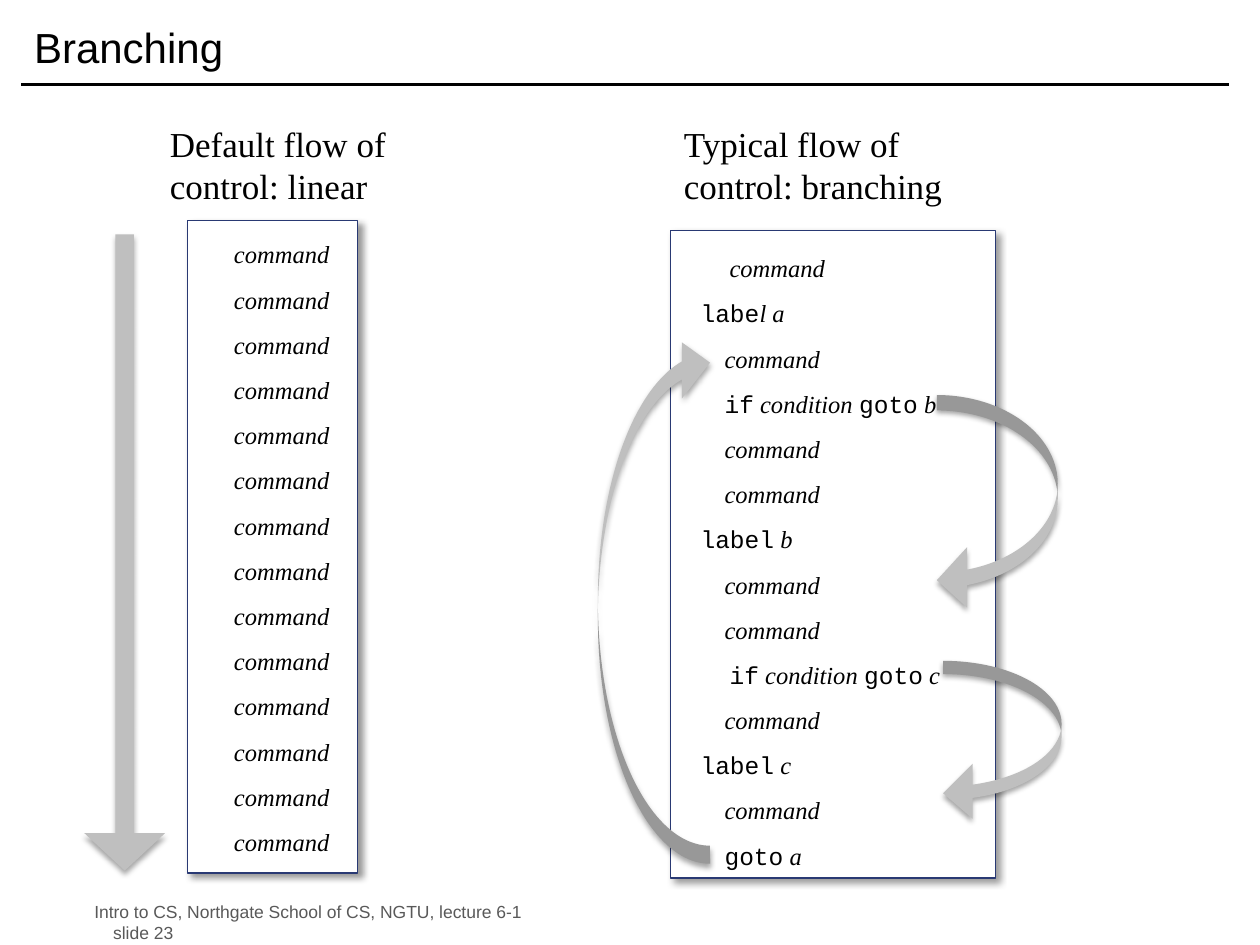
from lxml import etree
from pptx import Presentation
from pptx.dml.color import RGBColor
from pptx.enum.shapes import MSO_CONNECTOR, MSO_SHAPE
from pptx.enum.text import MSO_ANCHOR, PP_ALIGN
from pptx.oxml.ns import qn
from pptx.util import Inches, Pt

RECTANGLE = MSO_SHAPE.RECTANGLE
DOWN_ARROW = MSO_SHAPE.DOWN_ARROW
CURVED_ARROW = MSO_SHAPE.CURVED_DOWN_ARROW
STRAIGHT = MSO_CONNECTOR.STRAIGHT
MIDDLE, TOP = MSO_ANCHOR.MIDDLE, MSO_ANCHOR.TOP
LEFT, CENTER = PP_ALIGN.LEFT, PP_ALIGN.CENTER

SANS, SERIF, MONO = "Arial", "Times New Roman", "Courier New"
BLACK, GREY, WHITE, NAVY, SILVER = "000000", "595959", "FFFFFF", "293973", "BFBFBF"

COMMAND = [("command", SERIF)]


def branch_line(target):
    return [("if", MONO), (" condition ", SERIF), ("goto", MONO), (f" {target}", SERIF)]


def keyword_line(keyword, rest):
    return [(keyword, MONO), (rest, SERIF)]


LINEAR_LINES = [(0, COMMAND)] * 14
BRANCHING_LINES = [
    (0.23, COMMAND),
    (0, keyword_line("labe", "l a")),
    (0.19, COMMAND),
    (0.19, branch_line("b")),
    (0.19, COMMAND),
    (0.19, COMMAND),
    (0, keyword_line("label", " b")),
    (0.19, COMMAND),
    (0.19, COMMAND),
    (0.23, branch_line("c")),
    (0.19, COMMAND),
    (0, keyword_line("label", " c")),
    (0.19, COMMAND),
    (0.19, keyword_line("goto", " a")),
]


def color(value):
    return RGBColor.from_string(value)


def inches(box):
    return [Inches(length) for length in box]


def style(span, font, size, hex_color=BLACK, italic=False):
    span.font.name = font
    span.font.size = Pt(size)
    span.font.color.rgb = color(hex_color)
    span.font.italic = italic


def set_indent(para, left, first=0):
    properties = para._p.get_or_add_pPr()
    properties.set("marL", str(Inches(left)))
    properties.set("indent", str(Inches(first)))


def add_shadow(shape, blur, distance, angle, opacity):
    shape.shadow.inherit = False
    effects = shape._element.spPr.find(qn("a:effectLst"))
    shadow = etree.SubElement(
        effects, qn("a:outerShdw"), blurRad=str(Pt(blur)), dist=str(Pt(distance)),
        dir=str(angle * 60000), algn="tl", rotWithShape="0")
    tint = etree.SubElement(shadow, qn("a:srgbClr"), val=BLACK)
    etree.SubElement(tint, qn("a:alpha"), val=str(opacity * 1000))


def add_title(page, box, text):
    title = page.shapes.title
    title.left, title.top, title.width, title.height = inches(box)
    frame = title.text_frame
    frame.text = text
    frame.vertical_anchor = MIDDLE
    para = frame.paragraphs[0]
    para.alignment = LEFT
    style(para.runs[0], SANS, 24)


def add_rule(page, left, right, top):
    rule = page.shapes.add_connector(STRAIGHT, *inches((left, top, right, top)))
    rule.line.color.rgb = color(BLACK)
    rule.line.width = Pt(2)
    etree.SubElement(rule._element.spPr, qn("a:effectLst"))


def add_footer(page, box, text):
    frame = page.shapes.add_textbox(*inches(box)).text_frame
    frame.word_wrap = True
    frame.vertical_anchor = MIDDLE
    para = frame.paragraphs[0]
    para.text = text
    set_indent(para, 0.15, -0.15)
    for span in para.runs:
        style(span, SANS, 10, GREY)


def add_heading(shapes, box, text):
    frame = shapes.add_textbox(*inches(box)).text_frame
    frame.word_wrap = True
    frame.text = text
    style(frame.paragraphs[0].runs[0], SERIF, 20)


def add_listing(shapes, box, lines, alignment, top_inset):
    panel = shapes.add_shape(RECTANGLE, *inches(box))
    panel.fill.solid()
    panel.fill.fore_color.rgb = color(WHITE)
    panel.line.color.rgb = color(NAVY)
    panel.line.width = Pt(0.75)
    add_shadow(panel, 4, 3, 45, 40)
    frame = panel.text_frame
    frame.word_wrap = True
    frame.vertical_anchor = TOP
    frame.margin_left, frame.margin_right = Inches(0.24), Inches(0.1)
    frame.margin_top, frame.margin_bottom = Inches(top_inset), 0
    for index, (indent, pieces) in enumerate(lines):
        para = frame.add_paragraph() if index else frame.paragraphs[0]
        para.alignment = alignment
        para.space_before = Pt(9 if index else 0)
        set_indent(para, indent)
        for text, font in pieces:
            span = para.add_run()
            span.text = text
            style(span, font, 14, italic=font == SERIF)


def add_arrow(shapes, kind, box, adjustments, rotation=0):
    arrow = shapes.add_shape(kind, *inches(box))
    arrow.rotation = rotation
    for index, value in enumerate(adjustments):
        arrow.adjustments[index] = value
    arrow.fill.solid()
    arrow.fill.fore_color.rgb = color(SILVER)
    arrow.line.fill.background()
    add_shadow(arrow, 3.1, 1.8, 90, 35)


def add_linear_flow(page):
    shapes = page.shapes.add_group_shape().shapes
    add_listing(shapes, (1.49, 1.75, 1.35, 5.18), LINEAR_LINES, CENTER, 0.15)
    add_arrow(shapes, DOWN_ARROW, (0.67, 1.86, 0.64, 5.05), (0.231, 0.464))
    add_heading(shapes, (1.25, 0.92, 2.17, 0.77), "Default flow of control: linear")


def add_branching_flow(page):
    shapes = page.shapes.add_group_shape().shapes
    add_listing(shapes, (5.32, 1.83, 2.58, 5.14), BRANCHING_LINES, LEFT, 0.18)
    jumps = [
        ((7.06, 3.51, 1.71, 0.96), (0.128, 0.5, 0.25), 90),
        ((7.32, 5.41, 1.27, 0.94), (0.112, 0.465, 0.25), 90),
        ((3.09, 4.31, 4.2, 0.89), (0.161, 0.5, 0.25), 270),
    ]
    for box, adjustments, rotation in jumps:
        add_arrow(shapes, CURVED_ARROW, box, adjustments, rotation)
    add_heading(shapes, (5.33, 0.92, 2.75, 0.77), "Typical flow of control: branching")


def main():
    deck = Presentation()
    deck.slide_width, deck.slide_height = Inches(10), Inches(7.5)
    page = deck.slides.add_slide(deck.slide_layouts[5])
    add_rule(page, 0.17, 9.75, 0.67)
    add_footer(page, (0.65, 7.19, 8.6, 0.25),
               "Intro to CS, Northgate School of CS, NGTU, lecture 6-1\vslide 23")
    add_title(page, (0.17, 0.08, 9.58, 0.58), "Branching")
    add_linear_flow(page)
    add_branching_flow(page)
    deck.save("out.pptx")


if __name__ == "__main__":
    main()
